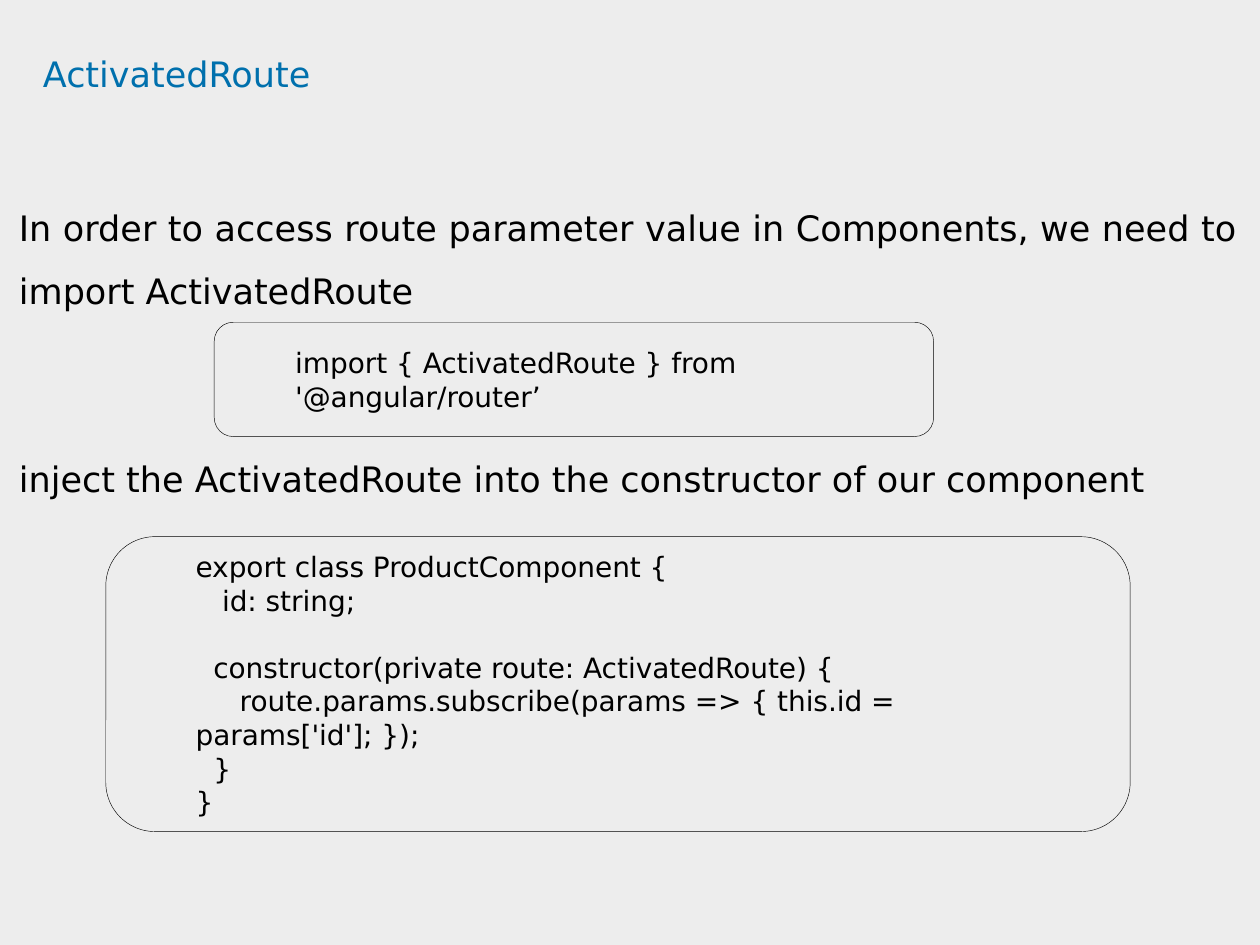
from pptx import Presentation
from pptx import util as u
from pptx.dml.color import RGBColor
from pptx.enum import shapes, text
from pptx.oxml import parse_xml
from pptx.oxml.ns import nsdecls

FONT = "DejaVu Sans"
BLUE = RGBColor(0x00, 0x70, 0xAD)
BLACK = RGBColor(0x00, 0x00, 0x00)
GREY = RGBColor(0xED, 0xED, 0xED)
W, H = u.Inches(10), u.Inches(7.5)
STEP = 0.07  # inches of code indent per leading column


def box(x, y, w, h):
    """Turn shares of the slide's size into a left, top, width, height box."""
    return [int(x * W), int(y * H), int(w * W), int(h * H)]


def place(sp, area):
    sp.left, sp.top, sp.width, sp.height = area


def setup_frame(tf, inset, anchor):
    tf.word_wrap = True
    tf.auto_size = text.MSO_AUTO_SIZE.NONE
    tf.vertical_anchor = anchor
    tf.margin_left = tf.margin_right = u.Inches(inset)
    tf.margin_top = tf.margin_bottom = u.Inches(inset / 2)


def write(p, words, size=20, color=BLACK, align=text.PP_ALIGN.LEFT,
          spacing=1.0, before=0, after=0, margin=0, first=0):
    """Fill one paragraph; margin and first-line indent are in inches."""
    p.alignment, p.line_spacing = align, spacing
    p.space_before, p.space_after = u.Pt(before), u.Pt(after)
    pPr = p._p.get_or_add_pPr()
    pPr.set("marL", str(u.Inches(margin)))
    pPr.set("indent", str(u.Inches(first)))
    pPr.append(parse_xml(f"<a:buNone {nsdecls('a')}/>"))
    r = p.add_run()
    r.text = words
    r.font.name, r.font.size, r.font.color.rgb = FONT, u.Pt(size), color


def add_title(s, area, words):
    sp = s.shapes.title
    place(sp, area)
    setup_frame(sp.text_frame, 0, text.MSO_ANCHOR.TOP)
    write(sp.text_frame.paragraphs[0], words, color=BLUE, spacing=0.9)


def add_body(s, area, items):
    """Write (words, space before) items as justified paragraphs."""
    sp = s.placeholders[1]
    place(sp, area)
    tf = sp.text_frame
    setup_frame(tf, 0, text.MSO_ANCHOR.TOP)
    for i, (words, before) in enumerate(items):
        p = tf.add_paragraph() if i else tf.paragraphs[0]
        write(p, words, align=text.PP_ALIGN.JUSTIFY, spacing=1.5,
              before=before, after=4.5)


def add_code(s, area, lines):
    """Draw a rounded box of (words, indent columns, space before) lines."""
    sp = s.shapes.add_shape(shapes.MSO_SHAPE.ROUNDED_RECTANGLE, *area)
    sp.shadow.inherit = False
    sp.fill.background()
    sp.line.color.rgb, sp.line.width = BLACK, u.Pt(0.25)
    tf = sp.text_frame
    setup_frame(tf, 0.1, text.MSO_ANCHOR.MIDDLE)
    for i, (words, columns, before) in enumerate(lines):
        p = tf.add_paragraph() if i else tf.paragraphs[0]
        write(p, words, size=16, before=before, margin=0.5,
              first=columns * STEP)


def main():
    prs = Presentation()
    prs.slide_width, prs.slide_height = W, H
    s = prs.slides.add_slide(prs.slide_layouts[1])
    s.background.fill.solid()
    s.background.fill.fore_color.rgb = GREY

    # Heading and the two steps
    add_title(s, box(0.034, 0.061, 0.909, 0.125), "ActivatedRoute")
    add_body(s, box(0.015, 0.196, 0.967, 0.716), [
        ("In order to access route parameter value in Components, "
         "we need to import ActivatedRoute", 0),
        ("inject the ActivatedRoute into the constructor of our component", 67),
    ])

    # Code samples
    add_code(s, box(0.17, 0.341, 0.571, 0.121), [
        ("import { ActivatedRoute } from '@angular/router’", 0, 0),
    ])
    add_code(s, box(0.084, 0.568, 0.813, 0.312), [
        ("export class ProductComponent {", 0, 0),
        ("id: string;", 3, 0),
        ("constructor(private route: ActivatedRoute) {", 2, 19),
        ("route.params.subscribe(params => { this.id = params['id']; });", 5, 0),
        ("}", 2, 0),
        ("}", 0, 0),
    ])
    prs.save("out.pptx")


if __name__ == "__main__":
    main()
